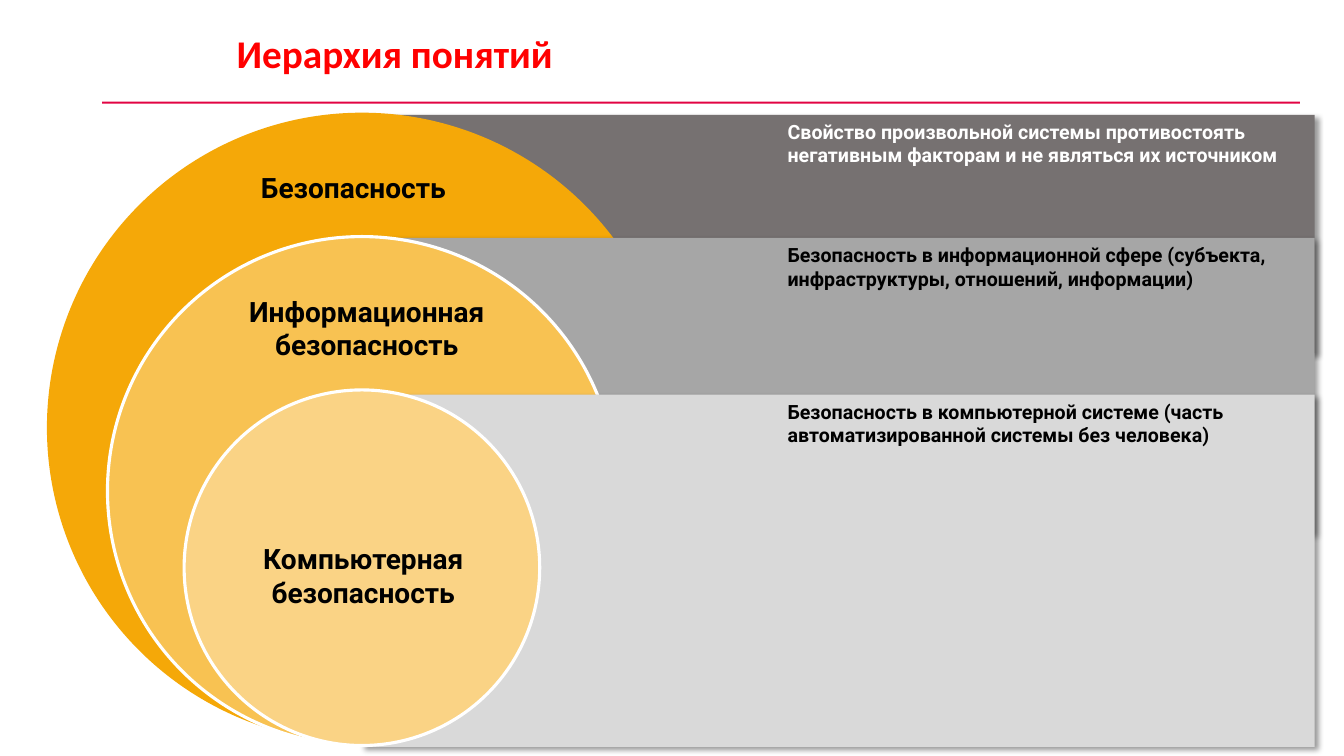
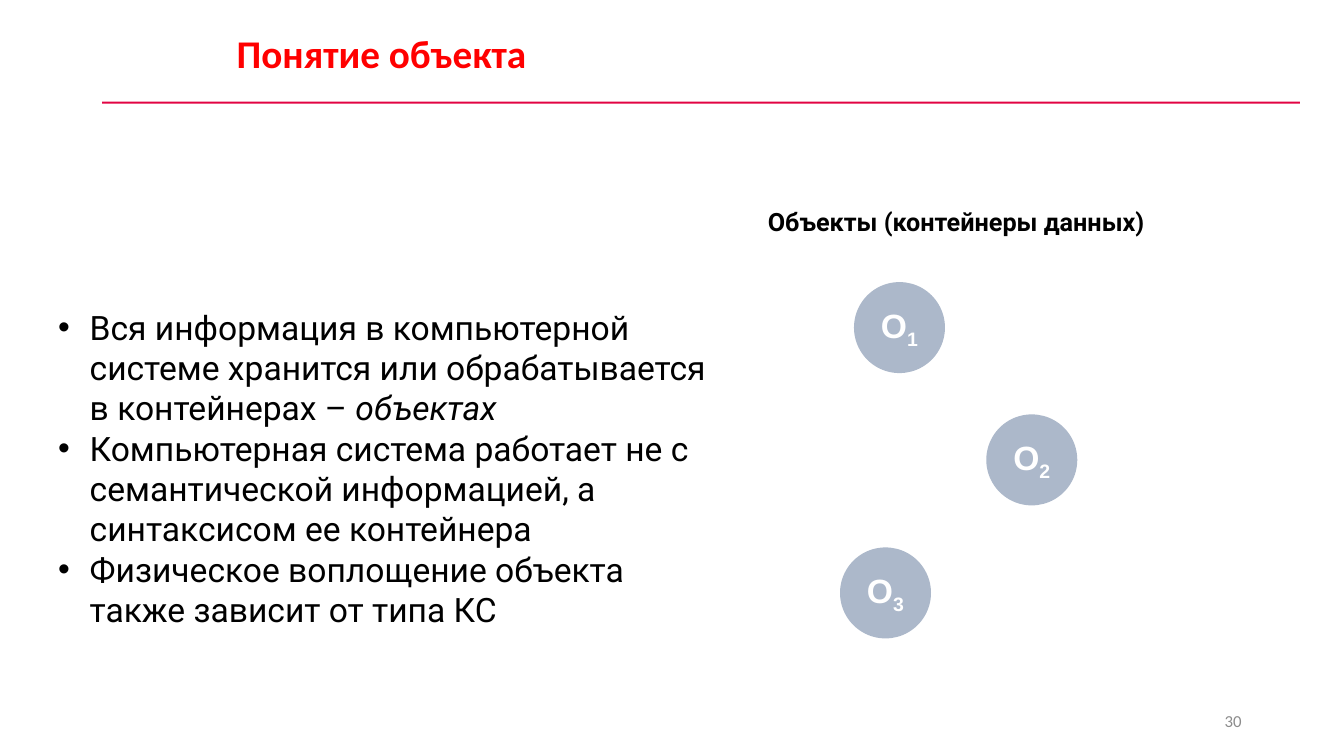
from collections import namedtuple

from lxml.etree import SubElement
from pptx import Presentation
from pptx.dml.color import RGBColor
from pptx.enum.shapes import MSO_SHAPE as Shape
from pptx.enum.text import MSO_ANCHOR as Anchor, PP_ALIGN as Align
from pptx.oxml.ns import qn
from pptx.util import Pt

RED = RGBColor(0xFF, 0x00, 0x00)
CRIMSON = RGBColor(0xE2, 0x04, 0x43)
BLACK = RGBColor(0x00, 0x00, 0x00)
WHITE = RGBColor(0xFF, 0xFF, 0xFF)
PAGE_GREY = RGBColor(0x8C, 0x8C, 0x8C)
BLUE_GREY = RGBColor(0xAC, 0xB8, 0xCA)
DARK_GREY = RGBColor(0x76, 0x71, 0x71)
MID_GREY = RGBColor(0xA6, 0xA6, 0xA6)
LIGHT_GREY = RGBColor(0xD9, 0xD9, 0xD9)
ORANGE = RGBColor(0xF5, 0xA8, 0x08)
AMBER = RGBColor(0xF8, 0xC2, 0x52)
CREAM = RGBColor(0xFA, 0xD3, 0x85)

Box = namedtuple("Box", "left top width height")
Level = namedtuple(
    "Level", "name meaning circle_top diameter circle_fill outlined "
             "band_top band_height band_fill meaning_color label_shift label_top label_width")

# Tops are measured from the top of the diagram, label shifts from its axis.
LEVELS = [
    Level("Безопасность",
          "Свойство произвольной системы противостоять негативным факторам "
          "и не являться их источником",
          0, 450, ORANGE, False, 1.5, 170, DARK_GREY, WHITE, -6, 38, 186),
    Level("Информационная безопасность",
          "Безопасность в информационной сфере (субъекта, инфраструктуры, "
          "отношений, информации)",
          88.5, 363.5, AMBER, True, 89.5, 211.5, MID_GREY, BLACK, 3.5, 126, 206.5),
    Level("Компьютерная безопасность",
          "Безопасность в компьютерной системе (часть автоматизированной "
          "системы без человека)",
          198, 254, CREAM, True, 201.5, 251.5, LIGHT_GREY, BLACK, 1, 303, 201),
]

STATEMENTS = [
    ("Вся информация в компьютерной системе хранится или обрабатывается "
     "в контейнерах – ", "объектах"),
    ("Компьютерная система работает не с семантической информацией, "
     "а синтаксисом ее контейнера", ""),
    ("Физическое воплощение объекта также зависит от типа КС", ""),
]


def points(box):
    return [Pt(length) for length in box]


def style(paragraph, size, color, name="Roboto", bold=False, align=Align.LEFT):
    paragraph.alignment = align
    font = paragraph.font
    font.name, font.size, font.bold = name, Pt(size), bold
    font.color.rgb = color


def add_frame(slide, box, anchor=Anchor.TOP):
    frame = slide.shapes.add_textbox(*points(box)).text_frame
    frame.word_wrap = True
    frame.vertical_anchor = anchor
    return frame


def add_text(slide, box, text, size, color, anchor=Anchor.TOP, **looks):
    paragraph = add_frame(slide, box, anchor).paragraphs[0]
    paragraph.add_run().text = text
    style(paragraph, size, color, **looks)
    return paragraph


def add_shape(slide, kind, box, fill, outlined=False):
    shape = slide.shapes.add_shape(kind, *points(box))
    shape.shadow.inherit = False
    shape.fill.solid()
    shape.fill.fore_color.rgb = fill
    if outlined:
        shape.line.color.rgb = WHITE
        shape.line.width = Pt(2.25)
    else:
        shape.line.fill.background()
    return shape


def add_shadow(shape):
    """Cast a soft black shadow to the lower right."""
    effects = shape.element.spPr.find(qn("a:effectLst"))
    shadow = SubElement(effects, qn("a:outerShdw"), blurRad=str(Pt(4)), dist=str(Pt(3)),
                        dir="2700000", algn="tl", rotWithShape="0")
    color = SubElement(shadow, qn("a:srgbClr"), val="000000")
    SubElement(color, qn("a:alpha"), val="40000")


def add_titled_slide(presentation, title):
    slide = presentation.slides.add_slide(presentation.slide_layouts[6])
    add_shape(slide, Shape.RECTANGLE, Box(73, 72.5, 855.5, 1.5), CRIMSON)
    add_text(slide, Box(162, 17.5, 771, 41), title, 28, RED, name="Calibri", bold=True)
    return slide


def add_hierarchy(slide, box):
    """Nest circles on one axis, each with a band running to the right edge."""
    axis = box.left + LEVELS[0].diameter / 2
    right = box.left + box.width
    meaning_width = 384.5
    for level in LEVELS:
        band_top = box.top + level.band_top
        band = add_shape(slide, Shape.RECTANGLE,
                         Box(axis, band_top, right - axis, level.band_height), level.band_fill)
        add_shadow(band)
        add_shape(slide, Shape.OVAL,
                  Box(axis - level.diameter / 2, box.top + level.circle_top,
                      level.diameter, level.diameter),
                  level.circle_fill, level.outlined)
        add_text(slide,
                 Box(axis + level.label_shift - level.label_width / 2,
                     box.top + level.label_top, level.label_width, 55),
                 level.name, 20, BLACK, bold=True, align=Align.CENTER)
        add_text(slide, Box(right - meaning_width + 1, band_top, meaning_width, 41),
                 level.meaning, 14, level.meaning_color, bold=True)


def add_statements(slide, box):
    frame = add_frame(slide, box)
    for index, (text, term) in enumerate(STATEMENTS):
        paragraph = frame.add_paragraph() if index else frame.paragraphs[0]
        paragraph.add_run().text = text
        if term:
            run = paragraph.add_run()
            run.text = term
            run.font.italic = True
        properties = paragraph._p.get_or_add_pPr()
        properties.set("marL", str(Pt(22.5)))
        properties.set("indent", str(Pt(-22.5)))
        SubElement(properties, qn("a:buFont"), typeface="Arial")
        SubElement(properties, qn("a:buChar"), char="•")
        style(paragraph, 24, BLACK)


def add_objects(slide, box):
    """Scatter numbered circles below a heading."""
    heading = add_text(slide, Box(box.left, box.top, box.width, 27),
                       "Объекты (контейнеры данных)", 18, BLACK,
                       bold=True, align=Align.CENTER)
    heading.line_spacing = 0.9
    diameter = 65
    for number, (across, down) in enumerate([(101.5, 55), (196, 149.5), (91.5, 244.5)], 1):
        circle = add_shape(slide, Shape.OVAL,
                           Box(box.left + across, box.top + down, diameter, diameter), BLUE_GREY)
        circle.text_frame.vertical_anchor = Anchor.MIDDLE
        paragraph = circle.text_frame.paragraphs[0]
        paragraph.add_run().text = "O"
        subscript = paragraph.add_run()
        subscript.text = str(number)
        subscript._r.get_or_add_rPr().set("baseline", "-25000")
        style(paragraph, 24, WHITE, name="Arial", bold=True, align=Align.CENTER)


def main():
    presentation = Presentation()
    presentation.slide_width, presentation.slide_height = Pt(960), Pt(540)

    hierarchy = add_titled_slide(presentation, "Иерархия понятий")
    add_hierarchy(hierarchy, Box(33.5, 80.5, 905.5, 453))

    concept = add_titled_slide(presentation, "Понятие объекта")
    add_text(concept, Box(678, 500.5, 216, 29), "30", 12, PAGE_GREY,
             anchor=Anchor.MIDDLE, name="Calibri", align=Align.RIGHT)
    add_statements(concept, Box(34.5, 215.5, 492, 240))
    add_objects(concept, Box(508.5, 146.5, 349, 310))

    presentation.save("out.pptx")


if __name__ == "__main__":
    main()
